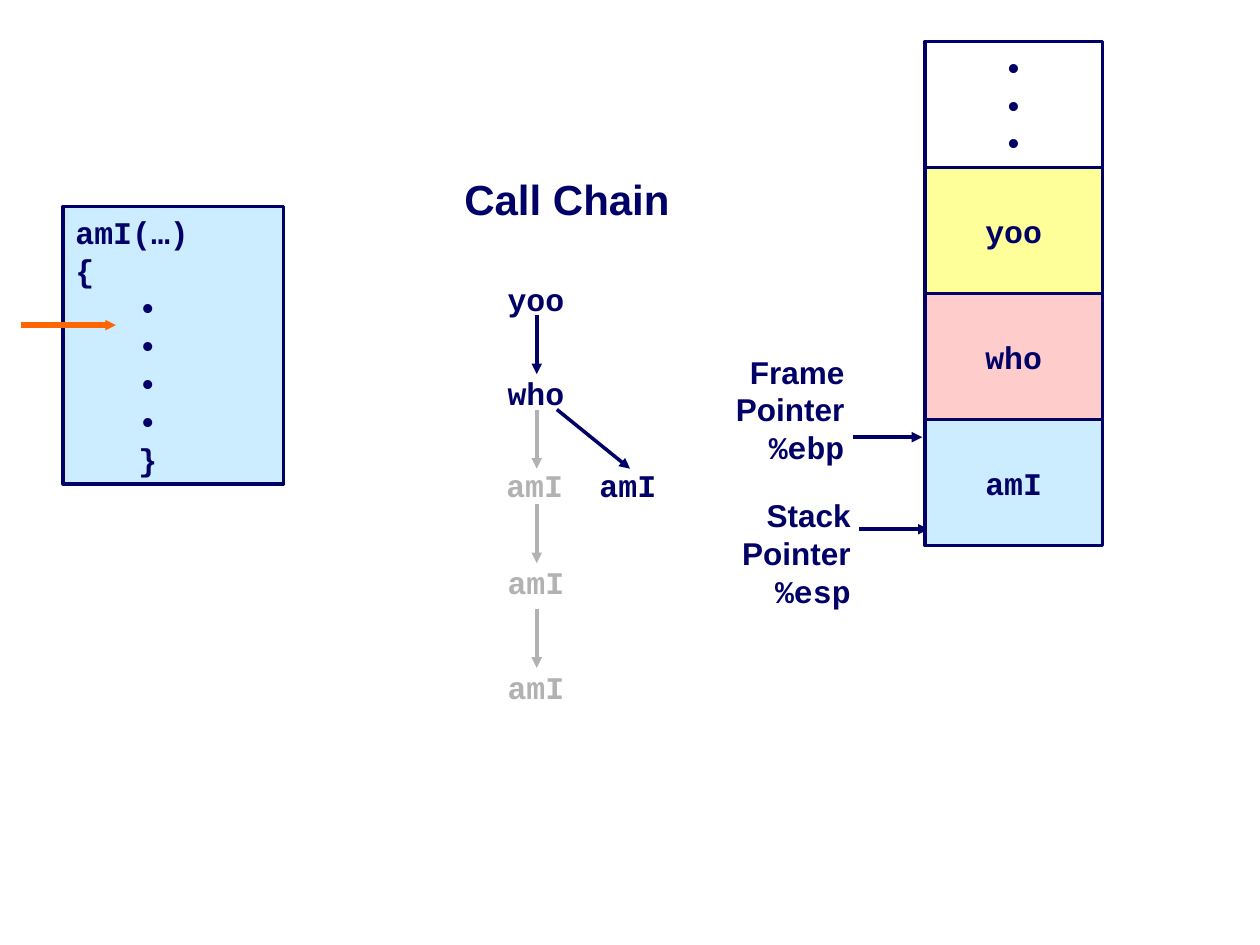
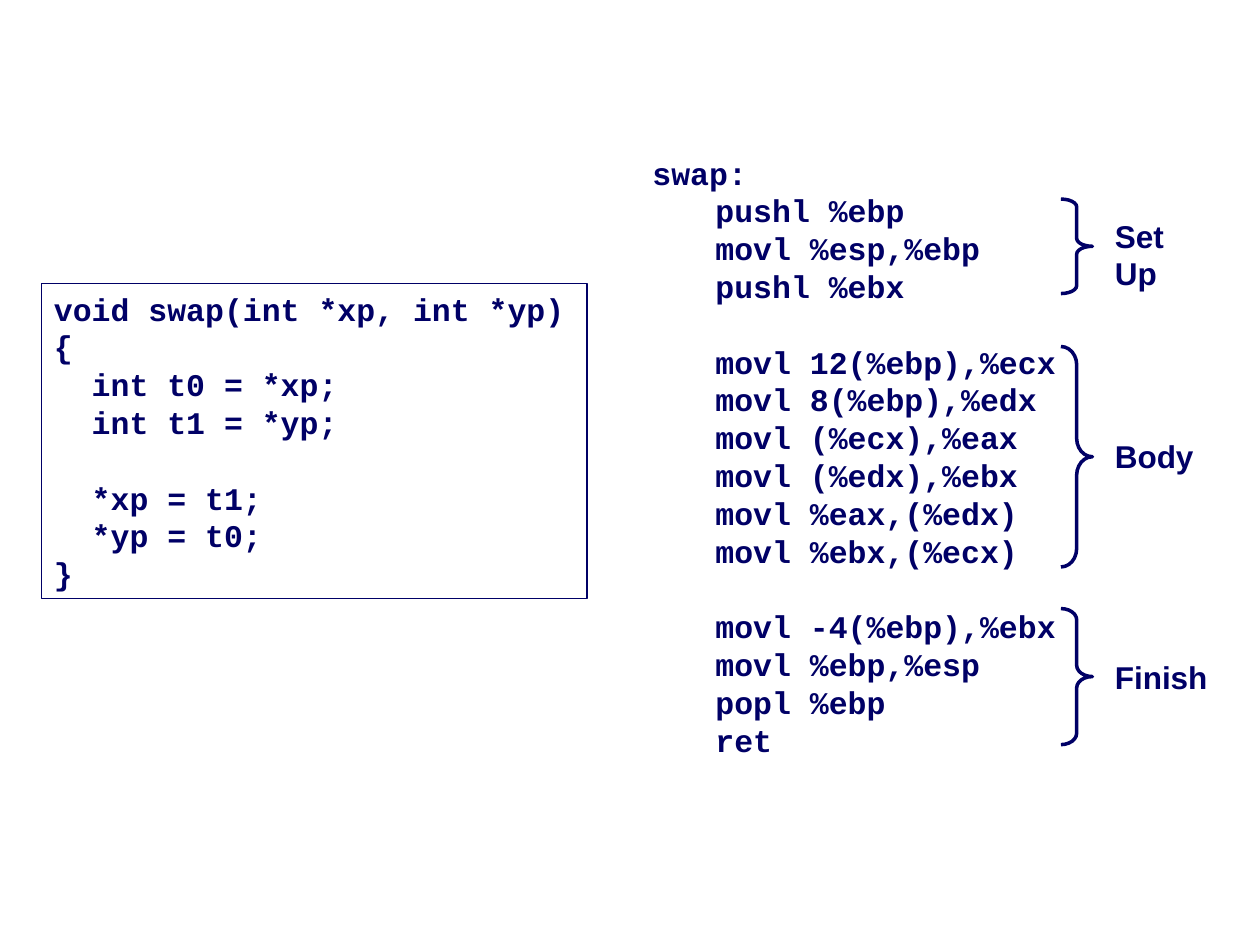
from lxml import etree
from pptx import Presentation
from pptx.dml.color import RGBColor
from pptx.enum.shapes import MSO_CONNECTOR, MSO_SHAPE
from pptx.enum.text import MSO_ANCHOR, PP_ALIGN
from pptx.oxml.ns import qn
from pptx.util import Inches, Pt

RECT = MSO_SHAPE.RECTANGLE
BRACE = MSO_SHAPE.RIGHT_BRACE
LINE = MSO_CONNECTOR.STRAIGHT
TOP = MSO_ANCHOR.TOP
MID = MSO_ANCHOR.MIDDLE
LEFT = PP_ALIGN.LEFT
MIDDLE = PP_ALIGN.CENTER
RIGHT = PP_ALIGN.RIGHT
SANS = "Arial"
MONO = "Courier New"
COLORS = {
    "navy": "000066", "gray": "B2B2B2", "orange": "FF6600",
    "yellow": "FFFF99", "pink": "FFCCCC", "blue": "CCECFF",
}

SWAP_C = """void swap(int *xp, int *yp)
{
  int t0 = *xp;
  int t1 = *yp;

  *xp = t1;
  *yp = t0;
}"""

SWAP_ASM = """swap:
\tpushl %ebp
\tmovl %esp,%ebp
\tpushl %ebx

\tmovl 12(%ebp),%ecx
\tmovl 8(%ebp),%edx
\tmovl (%ecx),%eax
\tmovl (%edx),%ebx
\tmovl %eax,(%edx)
\tmovl %ebx,(%ecx)

\tmovl -4(%ebp),%ebx
\tmovl %ebp,%esp
\tpopl %ebp
\tret"""


def color(name):
    return RGBColor.from_string(COLORS[name])


def write(shape, text, font=MONO, size=18, ink="navy", align=LEFT, anchor=TOP):
    frame = shape.text_frame
    frame.word_wrap = True
    frame.vertical_anchor = anchor
    pitch = Pt(size * 1.2)
    para = None
    gap = False
    for line in text.split("\n"):
        if not line:
            gap = True
            continue
        para = frame.add_paragraph() if para else frame.paragraphs[0]
        para.text = line.lstrip("\t")
        para.alignment = align
        para.line_spacing = pitch
        if gap:
            para.space_before = pitch
            gap = False
        if line.startswith("\t"):
            props = para._p.get_or_add_pPr()
            props.set("marL", str(Inches(0.5)))
            props.set("indent", "0")
        for run in para.runs:
            run.font.name = font
            run.font.size = Pt(size)
            run.font.bold = True
            run.font.color.rgb = color(ink)


def add_text(slide, text, x, y, w, h, **style):
    box = slide.shapes.add_textbox(Inches(x), Inches(y), Inches(w), Inches(h))
    write(box, text, **style)
    return box


def add_form(slide, kind, x, y, w, h, fill=None, weight=2):
    form = slide.shapes.add_shape(kind, Inches(x), Inches(y), Inches(w), Inches(h))
    form.shadow.inherit = False
    if fill:
        form.fill.solid()
        form.fill.fore_color.rgb = color(fill)
    else:
        form.fill.background()
    form.line.color.rgb = color("navy")
    form.line.width = Pt(weight)
    return form


def add_arrow(slide, x1, y1, x2, y2, ink="navy", weight=2, head="med"):
    arrow = slide.shapes.add_connector(
        LINE, Inches(x1), Inches(y1), Inches(x2), Inches(y2))
    arrow.line.color.rgb = color(ink)
    arrow.line.width = Pt(weight)
    etree.SubElement(arrow.line._get_or_add_ln(), qn("a:tailEnd"),
                     type="triangle", w=head, len=head)
    etree.SubElement(arrow._element.spPr, qn("a:effectLst"))


def add_pointer(slide, name, reg, x, y, tip, tip_y):
    add_arrow(slide, x + 1.23, tip_y, tip, tip_y)
    label = add_text(slide, f"{name}\nPointer\n{reg}", x, y, 1.26, 1,
                     font=SANS, align=RIGHT)
    label.text_frame.paragraphs[-1].runs[0].font.name = MONO


def add_brace(slide, name, y, h, label_y, label_h=0.4):
    brace = add_form(slide, BRACE, 8.42, y, 0.25, h)
    brace.adjustments[0] = h / 3
    add_text(slide, name, 8.75, label_y, 1.1, label_h, font=SANS)


def build_chain(slide):
    add_pointer(slide, "Stack", "%esp", 5.59, 3.89, 7.37, 4.2)
    frames = [("•\n•\n•", None), ("yoo", "yellow"), ("who", "pink"), ("amI", "blue")]
    for row, (name, fill) in enumerate(frames):
        cell = add_form(slide, RECT, 7.34, 0.33 + row, 1.41, 1, fill)
        write(cell, name, align=MIDDLE, anchor=MID)
    add_pointer(slide, "Frame", "%ebp", 5.54, 2.75, 7.32, 3.47)

    add_text(slide, "Call Chain", 3.5, 1.33, 2, 0.5,
             font=SANS, size=24, align=MIDDLE)
    calls = [
        ("yoo", 3.93, 2.17, "navy"), ("who", 3.93, 2.92, "navy"),
        ("amI", 3.92, 3.65, "gray"), ("amI", 3.93, 4.42, "gray"),
        ("amI", 3.93, 5.25, "gray"), ("amI", 4.66, 3.65, "navy"),
    ]
    for name, x, y, ink in calls:
        add_text(slide, name, x, y, 0.66, 0.4, ink=ink)
    for y, ink in [(2.5, "navy"), (3.25, "gray"), (4, "gray"), (4.83, "gray")]:
        add_arrow(slide, 4.26, y, 4.26, y + 0.47, ink)
    add_arrow(slide, 4.42, 3.25, 5, 3.72)

    code = add_form(slide, RECT, 0.5, 1.64, 1.75, 2.2, "blue")
    write(code, "amI(…)\n{" + "\n\t•" * 4 + "\n\t}")
    add_arrow(slide, 0.17, 2.58, 0.92, 2.58, "orange", 3, "sm")


def build_swap(slide):
    code = add_form(slide, RECT, 0.33, 2.25, 4.33, 2.5, weight=1)
    write(code, SWAP_C)
    add_text(slide, SWAP_ASM, 5.08, 1.17, 3.67, 4.9)
    add_brace(slide, "Set\nUp", 1.58, 0.75, 1.67, 0.7)
    add_brace(slide, "Body", 2.75, 1.75, 3.42)
    add_brace(slide, "Finish", 4.83, 1.08, 5.17)


def main():
    deck = Presentation()
    deck.slide_width = Inches(10)
    deck.slide_height = Inches(7.5)
    for build in (build_chain, build_swap):
        build(deck.slides.add_slide(deck.slide_layouts[6]))
    deck.save("out.pptx")


if __name__ == "__main__":
    main()
